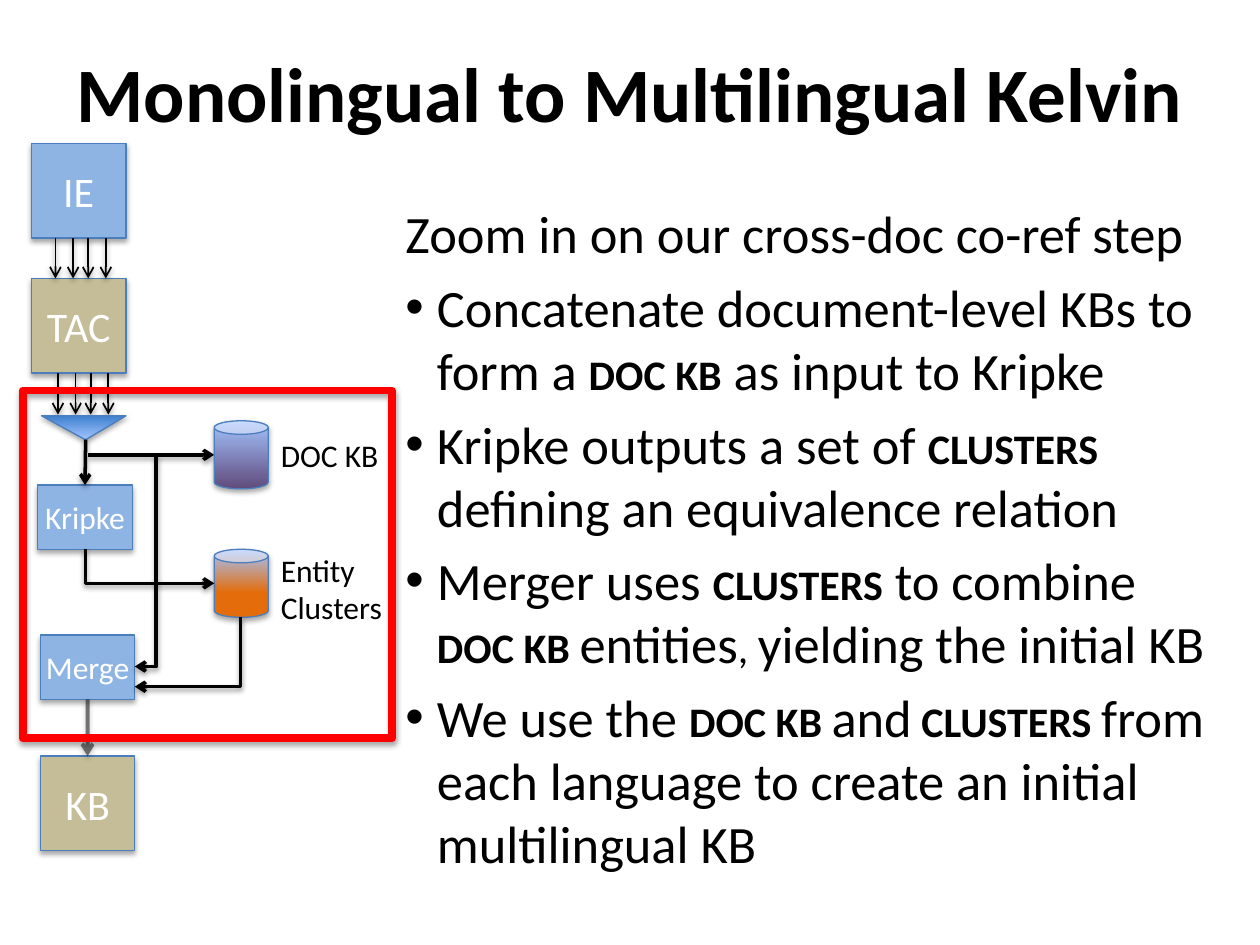
"""Build the slide that explains the cross-document co-reference step."""
from lxml.etree import SubElement
from pptx import Presentation
from pptx.dml.color import RGBColor
from pptx.enum.dml import MSO_LINE
from pptx.enum.shapes import MSO_CONNECTOR, MSO_SHAPE
from pptx.enum.text import MSO_ANCHOR, MSO_AUTO_SIZE, PP_ALIGN
from pptx.oxml.ns import qn
from pptx.util import Inches, Pt

THEME = {
    "font": "Calibri", "title": 44, "body": 30, "large": 24, "label": 18,
    "text": "000000", "light": "FFFFFF", "outline": "4B7EBC", "frame": "FF0000",
    "blue": "8EB4E3", "tan": "C4BD97", "sky": "A4C4FF",
    "purple": "604A7B", "orange": "E46C0A", "ocean": "3F80CE",
}
TITLE = "Monolingual to Multilingual Kelvin"
PLAIN, TERM, SMALL = (False, False), (True, True), (False, True)
INTRODUCTION = [("Zoom in on our cross-doc co-ref step", PLAIN)]
BULLETS = [
    [("Concatenate document-level KBs to form a ", PLAIN), ("doc kb", TERM),
     (" as input to Kripke", PLAIN)],
    [("Kripke outputs a set of ", PLAIN), ("clusters", TERM),
     (" defining an equivalence relation", PLAIN)],
    [("Merger uses ", PLAIN), ("clusters", TERM), (" to combine ", PLAIN),
     ("doc kb ", TERM), ("entities", PLAIN), (", ", SMALL),
     ("yielding the initial KB", PLAIN)],
    [("We use the ", PLAIN), ("doc kb ", TERM), ("and", PLAIN), (" clusters ", TERM),
     ("from each language to create an initial multilingual KB", PLAIN)],
]
BOXES = [
    ("IE", (0.25, 1.14, 0.75, 0.75), "blue", "large", 0.05),
    ("TAC", (0.25, 2.21, 0.75, 0.75), "tan", "large", 0.05),
    ("Kripke", (0.3, 3.85, 0.75, 0.51), "blue", "label", 0.05),
    ("KB", (0.32, 6, 0.75, 0.75), "tan", "large", 0.05),
    ("Merge", (0.32, 5.04, 0.75, 0.51), "blue", "label", 0),
]
STORES = [
    ("DOC KB", 3.34, "purple", 0, (2.13, 3.41, 0.99, 0.4)),
    ("Entity\vClusters", 4.36, "orange", 0.36, (2.13, 4.32, 1.02, 0.71)),
]
DOCUMENT_OFFSETS = (0, 0.14, 0.26, 0.4)
DOCUMENT_STREAMS = [(0.44, 1.89, 2.21), (0.46, 2.96, 3.29)]
ELBOWS = [
    ((1.24, 3.61), (1.07, 5.29)),
    ((0.68, 4.36), (1.7, 4.63)),
    ((1.91, 4.9), (1.07, 5.45)),
]
FRAME = (0.18, 3.1, 2.93, 2.76)


def color(name):
    return RGBColor.from_string(THEME[name])


def inches(values):
    return [Inches(value) for value in values]


def format_font(font, size, color_name, bold=False):
    font.name, font.size, font.bold = THEME["font"], Pt(THEME[size]), bold
    font.color.rgb = color(color_name)


def add_shadow(shape, opacity, distance):
    properties = shape._element.spPr
    effects = properties.find(qn("a:effectLst"))
    if effects is None:
        effects = SubElement(properties, qn("a:effectLst"))
    shadow = SubElement(effects, qn("a:outerShdw"), blurRad=str(Pt(3.1)),
                        dist=str(Pt(distance)), dir="5400000", rotWithShape="0")
    tint = SubElement(shadow, qn("a:srgbClr"), val=THEME["text"])
    SubElement(tint, qn("a:alpha"), val=str(opacity * 1000))


def add_figure(slide, kind, place, line="outline", width=0.75):
    shape = slide.shapes.add_shape(kind, *inches(place))
    shape.line.color.rgb, shape.line.width = color(line), Pt(width)
    shape.shadow.inherit = False
    add_shadow(shape, 35, 1.8)
    return shape


def fill_gradient(shape, start, position=0):
    shape.fill.gradient()
    shape.fill.gradient_angle = 90
    for stop, name, place in zip(shape.fill.gradient_stops, (start, "sky"), (position, 1)):
        stop.color.rgb, stop.position = color(name), place


def add_box(slide, text, place, fill, size, inset):
    shape = add_figure(slide, MSO_SHAPE.RECTANGLE, place)
    shape.fill.solid()
    shape.fill.fore_color.rgb = color(fill)
    frame = shape.text_frame
    frame.text, frame.vertical_anchor = text, MSO_ANCHOR.MIDDLE
    frame.margin_left = frame.margin_right = 0
    frame.margin_top = frame.margin_bottom = Inches(inset)
    paragraph = frame.paragraphs[0]
    paragraph.alignment = PP_ALIGN.CENTER
    format_font(paragraph.runs[0].font, size, "light")
    return shape


def add_arrow(slide, start, end, width, kind=MSO_CONNECTOR.STRAIGHT):
    arrow = slide.shapes.add_connector(kind, *inches(start + end))
    arrow.line.color.rgb, arrow.line.width = color("text"), Pt(width)
    SubElement(arrow.line._get_or_add_ln(), qn("a:tailEnd"), type="arrow")
    add_shadow(arrow, 38, 1.6)
    return arrow


def add_elbow(slide, start, end):
    """Add an arrow that goes down first, as a turned one-bend connector."""
    (left, top), (right, bottom) = start, end
    center_x, center_y = (left + right) / 2, (top + bottom) / 2
    half_width, half_height = (bottom - top) / 2, abs(right - left) / 2
    arrow = add_arrow(slide, (center_x - half_width, center_y - half_height),
                      (center_x + half_width, center_y + half_height), 2,
                      MSO_CONNECTOR.ELBOW)
    properties = arrow._element.spPr
    properties.find(qn("a:prstGeom")).set("prst", "bentConnector2")
    transform = properties.find(qn("a:xfrm"))
    transform.set("rot", "16200000" if right > left else "5400000")
    if right > left:
        transform.set("flipH", "1")


def add_body(slide):
    frame = slide.shapes.add_textbox(*inches((3.12, 1.55, 6.66, 5.42))).text_frame
    frame.word_wrap = True
    for index, pieces in enumerate([INTRODUCTION] + BULLETS):
        paragraph = frame.add_paragraph() if index else frame.paragraphs[0]
        paragraph.space_before = Pt(THEME["body"] * 0.2)
        if index:
            properties = paragraph._p.get_or_add_pPr()
            properties.set("marL", str(Inches(0.25)))
            properties.set("indent", str(-Inches(0.25)))
            SubElement(properties, qn("a:buFont"), typeface="Arial")
            SubElement(properties, qn("a:buChar"), char="•")
        for text, (bold, small) in pieces:
            run = paragraph.add_run()
            run.text = text
            format_font(run.font, "body", "text", bold)
            if small:
                run._r.get_or_add_rPr().set("cap", "small")


def add_store(slide, label, top, fill, position, label_place):
    can = add_figure(slide, MSO_SHAPE.CAN, (1.7, top, 0.43, 0.54))
    fill_gradient(can, fill, position)
    frame = slide.shapes.add_textbox(*inches(label_place)).text_frame
    frame.text, frame.word_wrap = label, False
    frame.auto_size = MSO_AUTO_SIZE.SHAPE_TO_FIT_TEXT
    for run in frame.paragraphs[0].runs:
        format_font(run.font, "label", "text")


def main():
    presentation = Presentation()
    presentation.slide_width, presentation.slide_height = Inches(10), Inches(7.5)
    slide = presentation.slides.add_slide(presentation.slide_layouts[5])
    title = slide.shapes.title
    title.left, title.top, title.width, title.height = inches((0.5, 0.1, 9, 1.25))
    title.text_frame.text = TITLE
    title.text_frame.vertical_anchor = MSO_ANCHOR.MIDDLE
    title.text_frame.paragraphs[0].alignment = PP_ALIGN.CENTER
    format_font(title.text_frame.paragraphs[0].runs[0].font, "title", "text", True)
    add_body(slide)

    boxes = {box[0]: add_box(slide, *box) for box in BOXES}
    output = add_arrow(slide, (0.69, 5.55), (0.69, 6), 2.25)
    output.begin_connect(boxes["Merge"], 2)
    output.end_connect(boxes["KB"], 0)
    output.line.dash_style = MSO_LINE.SOLID
    SubElement(output.line._get_or_add_ln().find(qn("a:solidFill"))[0],
               qn("a:alpha"), val="50000")
    for left, top, bottom in DOCUMENT_STREAMS:
        for offset in DOCUMENT_OFFSETS:
            add_arrow(slide, (left + offset, top), (left + offset, bottom), 1)
    add_arrow(slide, (0.7, 3.61), (1.7, 3.61), 2)
    for store in STORES:
        add_store(slide, *store)

    funnel = add_figure(slide, MSO_SHAPE.ISOSCELES_TRIANGLE, (0.33, 3.3, 0.67, 0.19))
    funnel.rotation, funnel.adjustments[0] = 180, 0.48
    fill_gradient(funnel, "ocean")
    add_arrow(slide, (0.68, 3.49), (0.68, 3.85), 2).end_connect(boxes["Kripke"], 0)
    for start, end in ELBOWS:
        add_elbow(slide, start, end)
    add_figure(slide, MSO_SHAPE.RECTANGLE, FRAME, "frame", 4.5).fill.background()
    presentation.save("out.pptx")


if __name__ == "__main__":
    main()
